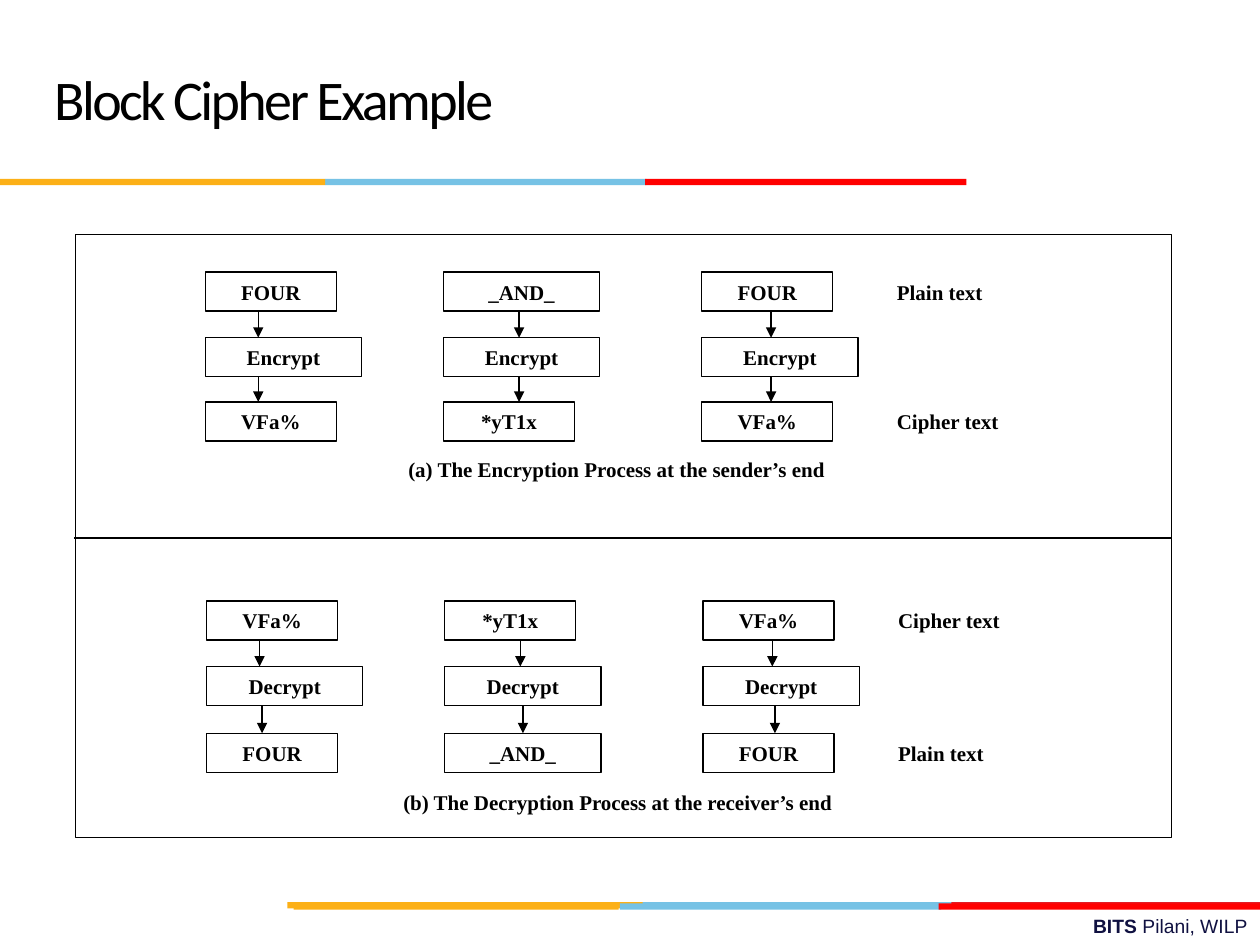
from dataclasses import dataclass
from typing import Any

from lxml import etree
from pptx import Presentation
from pptx.dml.color import RGBColor
from pptx.enum.shapes import MSO_CONNECTOR as Connector, MSO_SHAPE as Shape
from pptx.enum.text import MSO_ANCHOR as Anchor, PP_ALIGN as Align
from pptx.oxml.ns import qn
from pptx.util import Inches, Pt

COLORS = {
    "black": "000000",
    "white": "FFFFFF",
    "navy": "101141",
    "blue": "76C2E5",
    "gold": "FCB017",
    "crimson": "E31C24",
    "red": "FF0000",
}
BAR_HEIGHT = 0.05
BARS = [
    (5.06, 7.16, 2.55, "blue"),
    (7.55, 7.16, 2.45, "crimson"),
    (2.28, 7.16, 2.82, "gold"),
    (4.92, 7.17, 2.55, "blue"),
    (2.33, 7.17, 2.58, "gold"),
    (7.45, 7.17, 2.55, "red"),
    (2.58, 1.42, 2.55, "blue"),
    (0, 1.42, 2.58, "gold"),
    (5.12, 1.42, 2.55, "red"),
]
COLUMNS = (1.63, 3.52, 5.57)
ARROWS = (2.05, 4.12, 6.12)
LABEL_LEFT = 7.02
BOX_HEIGHT = 0.31
NARROW, WIDE = 1.04, 1.24
PLAIN = ("FOUR", "_AND_", "FOUR")
CIPHER = ("VFa%", "*yT1x", "VFa%")


@dataclass
class SlideBuilder:
    """Holds the diagram style and the current slide."""

    page: Any
    font: str = "Times New Roman"
    size: float = 12
    line_width: float = 0.75

    def color(self, name):
        return RGBColor.from_string(COLORS[name])

    def run(self, para, text, size, font, color="black", bold=False):
        span = para.add_run()
        span.text = text
        span.font.size = Pt(size)
        span.font.name = font
        span.font.bold = bold
        span.font.color.rgb = self.color(color)
        return span

    def title(self, text, left, top, width, height):
        box = self.page.shapes.title
        box.left, box.top = Inches(left), Inches(top)
        box.width, box.height = Inches(width), Inches(height)
        box.text_frame.vertical_anchor = Anchor.MIDDLE
        para = box.text_frame.paragraphs[0]
        para.alignment = Align.LEFT
        para.line_spacing = Pt(36)
        span = self.run(para, text, 32, "Calibri")
        span.font._element.set("spc", "-150")

    def rectangle(self, left, top, width, height, fill="white", line=None):
        box = self.page.shapes.add_shape(
            Shape.RECTANGLE, Inches(left), Inches(top), Inches(width), Inches(height)
        )
        box.shadow.inherit = False
        box.fill.solid()
        box.fill.fore_color.rgb = self.color(fill)
        if line:
            box.line.color.rgb = self.color(line)
            box.line.width = Pt(self.line_width)
        else:
            box.line.fill.background()
        return box

    def label(self, text, left, top, width, height=BOX_HEIGHT, line=None, align=Align.CENTER):
        box = self.rectangle(left, top, width, height, line=line)
        frame = box.text_frame
        frame.margin_top = frame.margin_bottom = 0
        frame.vertical_anchor = Anchor.MIDDLE
        para = frame.paragraphs[0]
        para.alignment = align
        self.run(para, text, self.size, self.font, bold=True)

    def line(self, start, end, arrow=False):
        link = self.page.shapes.add_connector(
            Connector.STRAIGHT, *(Inches(value) for value in (*start, *end))
        )
        link.line.color.rgb = self.color("black")
        link.line.width = Pt(self.line_width)
        if arrow:
            etree.SubElement(link.line._get_or_add_ln(), qn("a:tailEnd"), type="triangle")
        etree.SubElement(link._element.spPr, qn("a:effectLst"))

    def footer(self, left, top, width, height):
        box = self.page.shapes.add_textbox(
            Inches(left), Inches(top), Inches(width), Inches(height)
        )
        box.text_frame.word_wrap = True
        para = box.text_frame.paragraphs[0]
        para.alignment = Align.RIGHT
        self.run(para, "BITS ", 11, "Arial", "navy", bold=True)
        self.run(para, "Pilani, WILP", 11, "Arial", "navy")

    def process(self, rows, tops, shift, arrow_shifts):
        for (texts, side), top in zip(rows, tops):
            for text, left in zip(texts, COLUMNS):
                width = WIDE if len(text) > 5 or text == "_AND_" else NARROW
                self.label(text, left + shift, top, width, line="black")
            if side:
                self.label(side, LABEL_LEFT + shift, top, 1.5, align=Align.LEFT)
        for top, end, arrow_shift in zip(tops, tops[1:], arrow_shifts):
            for left in ARROWS:
                x = left + arrow_shift
                self.line((x, top + BOX_HEIGHT), (x, end), arrow=True)


def main():
    deck = Presentation()
    deck.slide_width, deck.slide_height = Inches(10), Inches(7.5)
    builder = SlideBuilder(deck.slides.add_slide(deck.slide_layouts[5]))
    builder.footer(3.58, 7.21, 6.42, 0.29)
    for left, top, width, fill in BARS:
        builder.rectangle(left, top, width, BAR_HEIGHT, fill)
    builder.title("Block Cipher Example", 0.33, 0.17, 6.92, 1.25)
    builder.rectangle(0.6, 1.86, 8.7, 4.79, line="black")

    plain, cipher = (PLAIN, "Plain text"), (CIPHER, "Cipher text")
    encrypt, decrypt = (("Encrypt",) * 3, None), (("Decrypt",) * 3, None)
    builder.process((plain, encrypt, cipher), (2.16, 2.68, 3.19), 0, (0, 0))
    builder.label("(a) The Encryption Process at the sender’s end", 1.34, 3.56, 7.11, 0.32)
    builder.process((cipher, decrypt, plain), (4.77, 5.29, 5.82), 0.01, (0.01, 0.03))
    builder.label("(b) The Decryption Process at the receiver’s end", 1.35, 6.2, 7.11, 0.33)
    builder.line((0.59, 4.27), (9.3, 4.27))
    deck.save("out.pptx")


if __name__ == "__main__":
    main()
